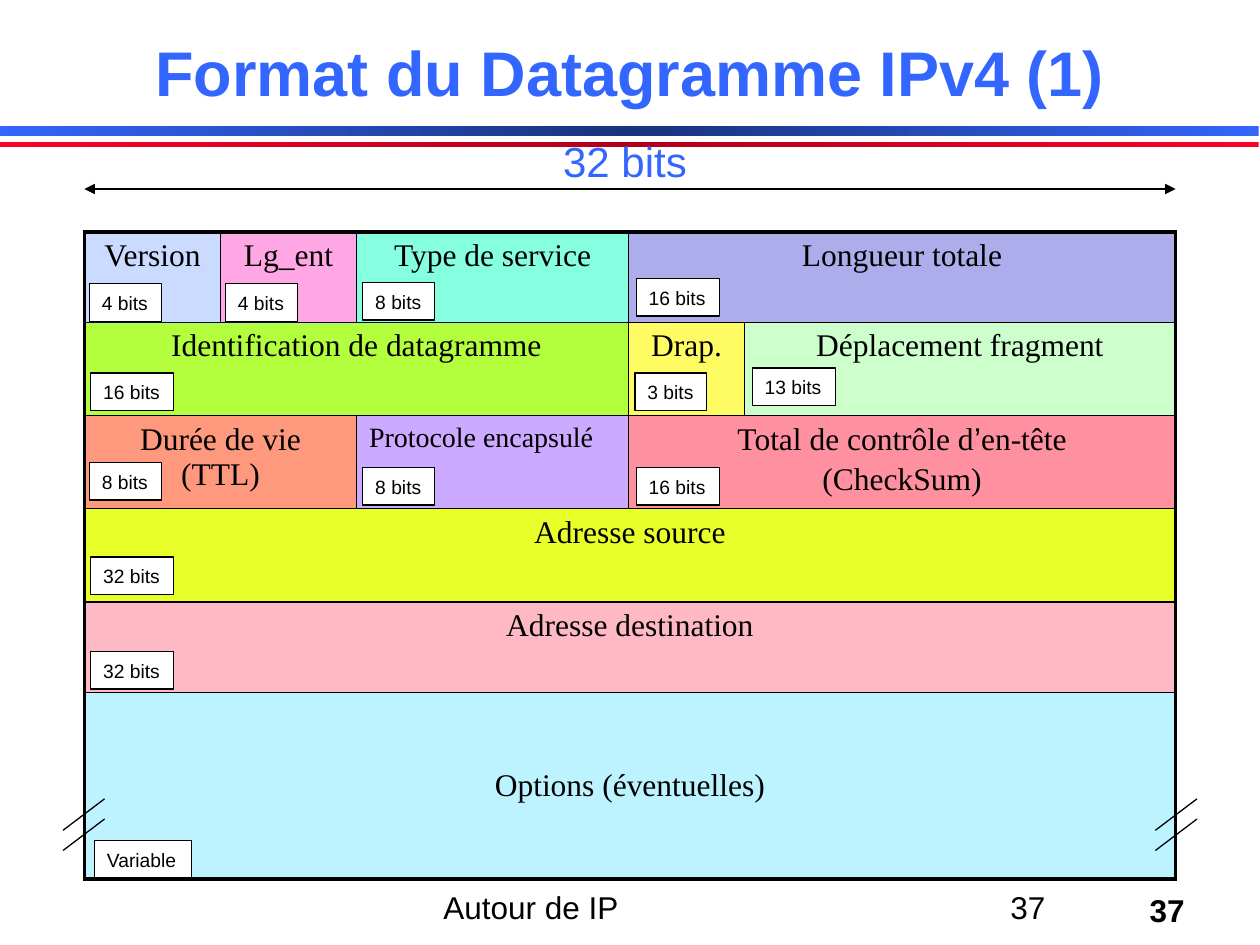
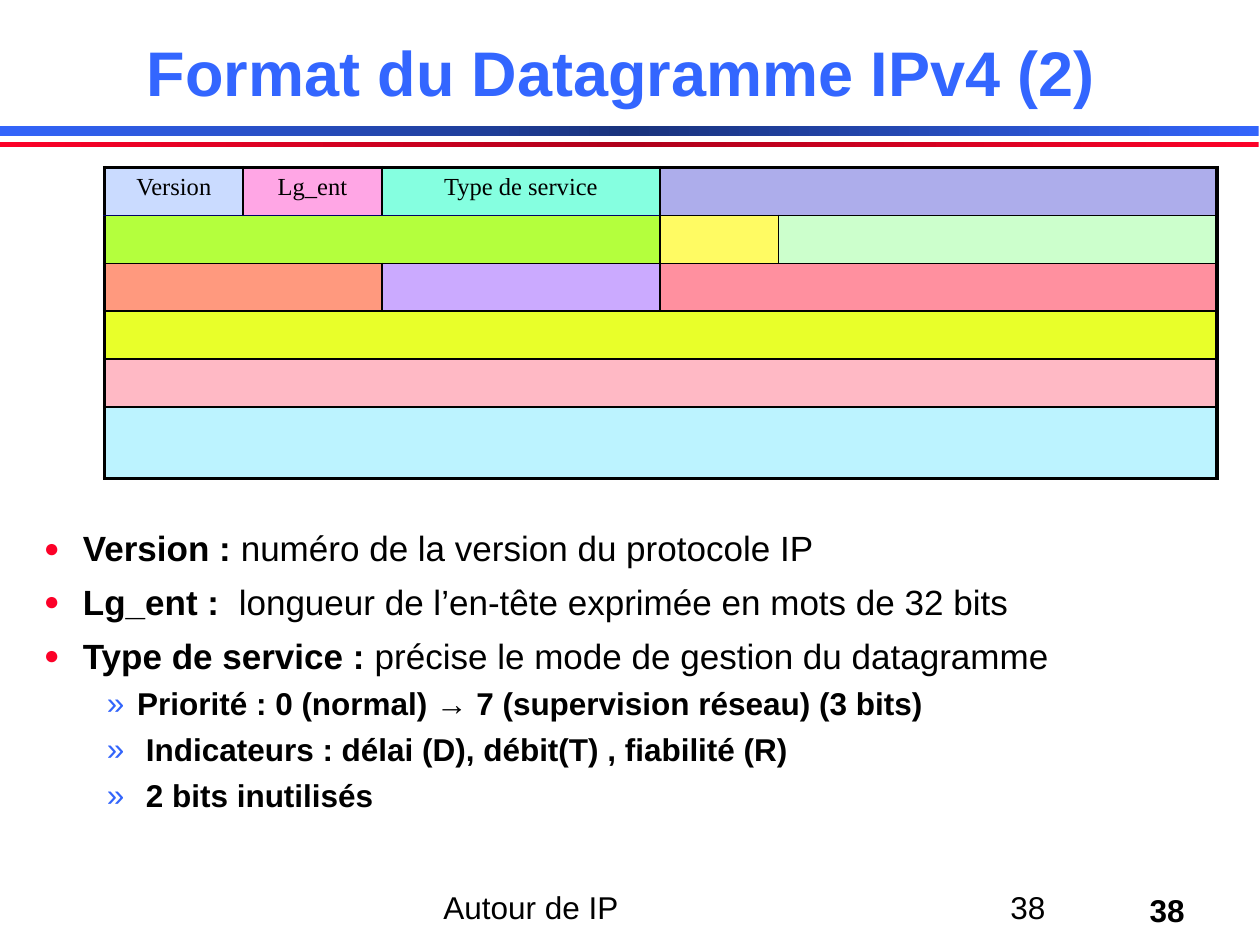
from copy import deepcopy
from lxml.etree import SubElement
from pptx import Presentation
from pptx.dml.color import RGBColor
from pptx.enum.shapes import MSO_CONNECTOR, MSO_SHAPE
from pptx.enum.text import MSO_ANCHOR, PP_ALIGN
from pptx.oxml.ns import qn
from pptx.util import Inches, Pt

COLORS = {
    "title": "3366FF", "blue": "3365FB", "navy": "19327C", "red": "FC0128",
    "dark_red": "AF001B", "black": "000000", "white": "FFFFFF", "edge": "000066",
    "version": "CADBFF", "header_length": "FFA6E5", "service": "85FFE0",
    "total_length": "ADADEB", "identification": "B4FF3D", "flags": "FFFB63",
    "offset": "CCFFCC", "lifetime": "FF997E", "protocol": "CBAAFF",
    "checksum": "FF909F", "source": "E8FF2A", "destination": "FFB9C5",
    "options": "BCF3FF",
}
SANS, SERIF = "Arial", "Times New Roman"

FIELDS = [
    ("version", 0, 0, 1), ("header_length", 0, 1, 1), ("service", 0, 2, 1),
    ("total_length", 0, 3, 2), ("identification", 1, 0, 3), ("flags", 1, 3, 1),
    ("offset", 1, 4, 1), ("lifetime", 2, 0, 2), ("protocol", 2, 2, 1),
    ("checksum", 2, 3, 2), ("source", 3, 0, 5), ("destination", 4, 0, 5),
    ("options", 5, 0, 5),
]
LAST_ROW, LAST_COLUMN = 5, 4
FIELD_NAMES = {
    "version": [["Version"]], "header_length": [["Lg_ent"]],
    "service": [["Type de service"]], "total_length": [["Longueur totale"]],
    "identification": [["Identification de datagramme"]], "flags": [["Drap."]],
    "offset": [["Déplacement fragment"]], "lifetime": [["Durée de vie (TTL)"]],
    "protocol": [["Protocole encapsulé"]],
    "checksum": [["Total de contrôle d", "’", "en-tête"], ["(CheckSum)"]],
    "source": [["Adresse source"]], "destination": [["Adresse destination"]],
    "options": [["Options (éventuelles)"]],
}
BIT_SIZES = [
    (0.71, 2.25, "4 bits"), (1.79, 2.25, "4 bits"), (2.88, 2.24, "8 bits"),
    (5.05, 2.21, "16 bits"), (0.72, 2.96, "16 bits"), (5.05, 3.71, "16 bits"),
    (2.88, 3.71, "8 bits"), (0.71, 3.67, "8 bits"), (5.04, 2.96, "3 bits"),
    (5.97, 2.92, "13 bits"), (0.72, 4.42, "32 bits"), (0.72, 5.17, "32 bits"),
    (0.75, 6.67, "Variable"),
]
BIT_WIDTHS = {6: 0.57, 7: 0.66, 8: 0.77}
DEFINITIONS = [
    ("Version : ", "numéro de la version du protocole IP"),
    ("Lg_ent :  ", "longueur de l’en-tête exprimée en mots de 32 bits"),
    ("Type de service : ", "précise le mode de gestion du datagramme"),
]
SERVICE_BITS = [
    "Priorité : 0 (normal) → 7 (supervision réseau) (3 bits)",
    " Indicateurs : délai (D), débit(T) , fiabilité (R)",
    " 2 bits inutilisés",
]


def color(name):
    return RGBColor.from_string(COLORS[name])


def add_run(paragraph, text, size, bold=False, font=SANS, color_name="black"):
    run = paragraph.add_run()
    run.text = text
    run.font.size = Pt(size)
    run.font.bold = bold
    run.font.name = font
    run.font.color.rgb = color(color_name)


def add_text(slide, box, text, size, align=PP_ALIGN.LEFT, anchor=MSO_ANCHOR.TOP,
             wrap=True, spacing=1.0, **style):
    frame = slide.shapes.add_textbox(*map(Inches, box)).text_frame
    frame.word_wrap = wrap
    frame.vertical_anchor = anchor
    paragraph = frame.paragraphs[0]
    paragraph.alignment = align
    paragraph.line_spacing = spacing
    add_run(paragraph, text, size, **style)


def add_rectangle(slide, box):
    shape = slide.shapes.add_shape(MSO_SHAPE.RECTANGLE, *map(Inches, box))
    shape.shadow.inherit = False
    return shape


def add_band(slide, top, height, outer, middle):
    band = add_rectangle(slide, (0, top, 9.99, height))
    band.line.fill.background()
    band.fill.gradient()
    band.fill.gradient_angle = 0
    stop_list = band._element.spPr.find(".//" + qn("a:gsLst"))
    stop_list.append(deepcopy(stop_list[0]))
    stops = zip(band.fill.gradient_stops, (0, 0.5, 1), (outer, middle, outer))
    for stop, position, name in stops:
        stop.position = position
        stop.color.rgb = color(name)


def add_line(slide, start, end, arrows=False):
    points = map(Inches, (*start, *end))
    line = slide.shapes.add_connector(MSO_CONNECTOR.STRAIGHT, *points)
    line.line.color.rgb = color("black")
    line.line.width = Pt(0.75)
    properties = line._element.spPr
    if arrows:
        for end_name in ("a:headEnd", "a:tailEnd"):
            SubElement(properties.find(qn("a:ln")), qn(end_name), type="triangle")
    SubElement(properties, qn("a:effectLst"))


def add_bit_size(slide, left, top, text):
    box = add_rectangle(slide, (left, top, BIT_WIDTHS[len(text)], 0.3))
    box.fill.solid()
    box.fill.fore_color.rgb = color("white")
    box.line.color.rgb = color("black")
    box.line.width = Pt(0.75)
    frame = box.text_frame
    frame.word_wrap = False
    frame.vertical_anchor = MSO_ANCHOR.TOP
    paragraph = frame.paragraphs[0]
    paragraph.alignment = PP_ALIGN.LEFT
    paragraph.line_spacing = 1.07
    add_run(paragraph, text, 11)


def set_border(cell, side, width, color_name):
    line = SubElement(cell._tc.get_or_add_tcPr(), qn("a:" + side), w=str(Pt(width)))
    fill = SubElement(line, qn("a:solidFill"))
    SubElement(fill, qn("a:srgbClr"), val=COLORS[color_name])


def draw_borders(table, row, start, span):
    end = start + span - 1
    for column in range(start, end + 1):
        cell = table.cell(row, column)
        first, left_half = column == start, start < 3
        if first:
            set_border(cell, "lnL", 2.25 if start == 0 else 1, "black")
        if first or column == end:
            set_border(cell, "lnR", 2.25 if end == LAST_COLUMN else 1, "black")
        set_border(cell, "lnT", 2.25 if row == 0 else 1,
                   "edge" if row == 1 and left_half else "black")
        set_border(cell, "lnB", 2.25 if row == LAST_ROW else 1,
                   "edge" if row == 0 and left_half else "black")


def write_field(cell, name, lines, size):
    frame = cell.text_frame
    for index, pieces in enumerate(lines):
        paragraph = frame.add_paragraph() if index else frame.paragraphs[0]
        paragraph.alignment = PP_ALIGN.LEFT if name == "protocol" else PP_ALIGN.CENTER
        paragraph.space_before = Pt(0.15 * size)
        for piece in pieces:
            add_run(paragraph, piece, 16 if name == "protocol" else size,
                    font=SANS if piece == "’" else SERIF)
    if name == "options":
        cell.vertical_anchor = MSO_ANCHOR.MIDDLE


def add_datagram(slide, left, top, widths, heights, names, size):
    box = (left, top, sum(widths), sum(heights))
    frame = slide.shapes.add_table(len(heights), len(widths), *map(Inches, box))
    table = frame.table
    table.first_row = table.horz_banding = False
    for column, width in zip(table.columns, widths):
        column.width = Inches(width)
    for row, height in zip(table.rows, heights):
        row.height = Inches(height)
    for name, row, start, span in FIELDS:
        cell = table.cell(row, start)
        if span > 1:
            cell.merge(table.cell(row, start + span - 1))
        draw_borders(table, row, start, span)
        for column in range(start, start + span):
            part = table.cell(row, column)
            part.fill.solid()
            part.fill.fore_color.rgb = color(name)
            if name not in names:
                part.margin_top = part.margin_bottom = Inches(0.02)
        write_field(cell, name, names.get(name, []), size)


def add_bullet(frame, runs, size, margin, indent, before, mark, mark_color,
               level=0, mark_size=100):
    paragraph = frame.add_paragraph() if frame.text else frame.paragraphs[0]
    paragraph.level = level
    paragraph.line_spacing = 0.9
    paragraph.space_before = Pt(before)
    for text, bold in runs:
        add_run(paragraph, text, size, bold)
    properties = paragraph._p.get_or_add_pPr()
    properties.set("marL", str(Inches(margin)))
    properties.set("indent", str(-Inches(indent)))
    bullet_color = SubElement(properties, qn("a:buClr"))
    SubElement(bullet_color, qn("a:srgbClr"), val=COLORS[mark_color])
    SubElement(properties, qn("a:buSzPct"), val=str(mark_size * 1000))
    SubElement(properties, qn("a:buFont"), typeface=SANS)
    SubElement(properties, qn("a:buChar"), char=mark)


def add_definitions(slide):
    box = (0.25, 4.17, 9.58, 3.25)
    frame = slide.shapes.add_textbox(*map(Inches, box)).text_frame
    frame.word_wrap = True
    for term, meaning in DEFINITIONS:
        add_bullet(frame, [(term, True), (meaning, False)], 20, 0.31, 0.31, 9,
                   "●", "red", mark_size=75)
    for text in SERVICE_BITS:
        add_bullet(frame, [(text, True)], 18, 0.74, 0.24, 6.8, "»", "blue", level=1)


def start_slide(presentation, title, number):
    slide = presentation.slides.add_slide(presentation.slide_layouts[6])
    add_band(slide, 1, 0.08, "blue", "navy")
    add_band(slide, 1.13, 0.04, "red", "dark_red")
    add_text(slide, (8.09, 7.02, 1.41, 0.4), number, 18, PP_ALIGN.RIGHT,
             wrap=False, bold=True)
    add_text(slide, (3.42, 7, 3.17, 0.5), "Autour de IP", 18)
    add_text(slide, (7.92, 7, 2.08, 0.5), number, 18)
    add_text(slide, (0.75, 0.25, 8.5, 0.67), title, 36, PP_ALIGN.CENTER,
             MSO_ANCHOR.BOTTOM, spacing=0.9, bold=True, color_name="title")
    return slide


def build_layout_slide(presentation):
    slide = start_slide(presentation, "Format du Datagramme IPv4 (1)", "37")
    add_datagram(slide, 0.67, 1.84, (1.08, 1.08, 2.16, 0.92, 3.42),
                 (0.72, 0.74, 0.71, 0.74, 0.72, 1.48), FIELD_NAMES, 18)
    add_text(slide, (4.25, 1, 1.42, 0.53), "32 bits", 24, PP_ALIGN.CENTER,
             spacing=1.07, color_name="title")
    add_line(slide, (0.67, 1.5), (9.33, 1.5), arrows=True)
    for left in (0.5, 9.17):
        for bottom in (6.59, 6.75):
            add_line(slide, (left, bottom), (left + 0.33, bottom - 0.25))
    for left, top, text in BIT_SIZES:
        add_bit_size(slide, left, top, text)


def build_definition_slide(presentation):
    slide = start_slide(presentation, "Format du Datagramme IPv4 (2) ", "38")
    shown = ("version", "header_length", "service")
    names = {name: FIELD_NAMES[name] for name in shown}
    add_datagram(slide, 0.83, 1.33, (1.1, 1.1, 2.21, 0.94, 3.48),
                 (0.38,) * 5 + (0.57,), names, 14)
    add_definitions(slide)


def main():
    presentation = Presentation()
    presentation.slide_width = Inches(10)
    presentation.slide_height = Inches(7.5)
    build_layout_slide(presentation)
    build_definition_slide(presentation)
    presentation.save("out.pptx")


if __name__ == "__main__":
    main()
